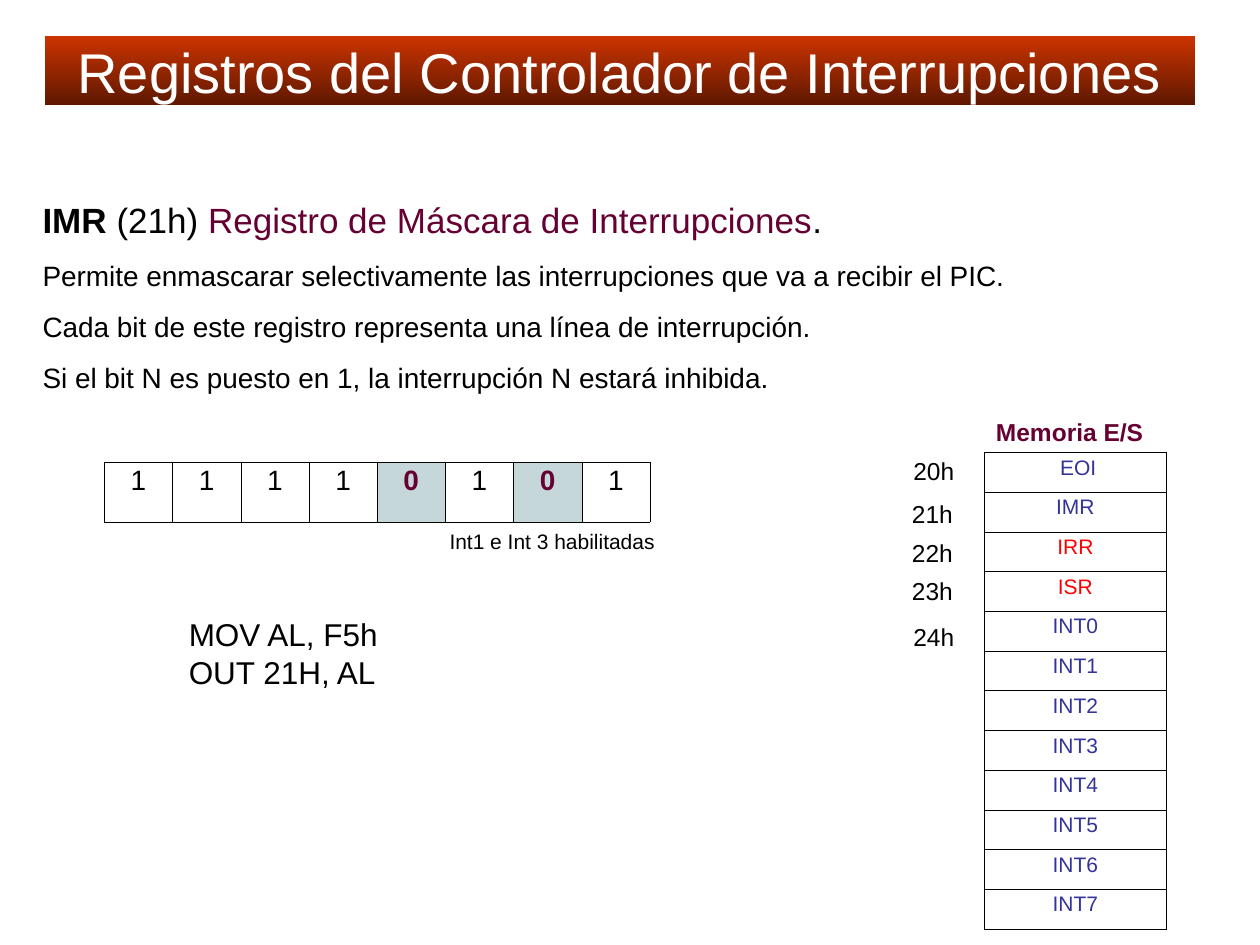
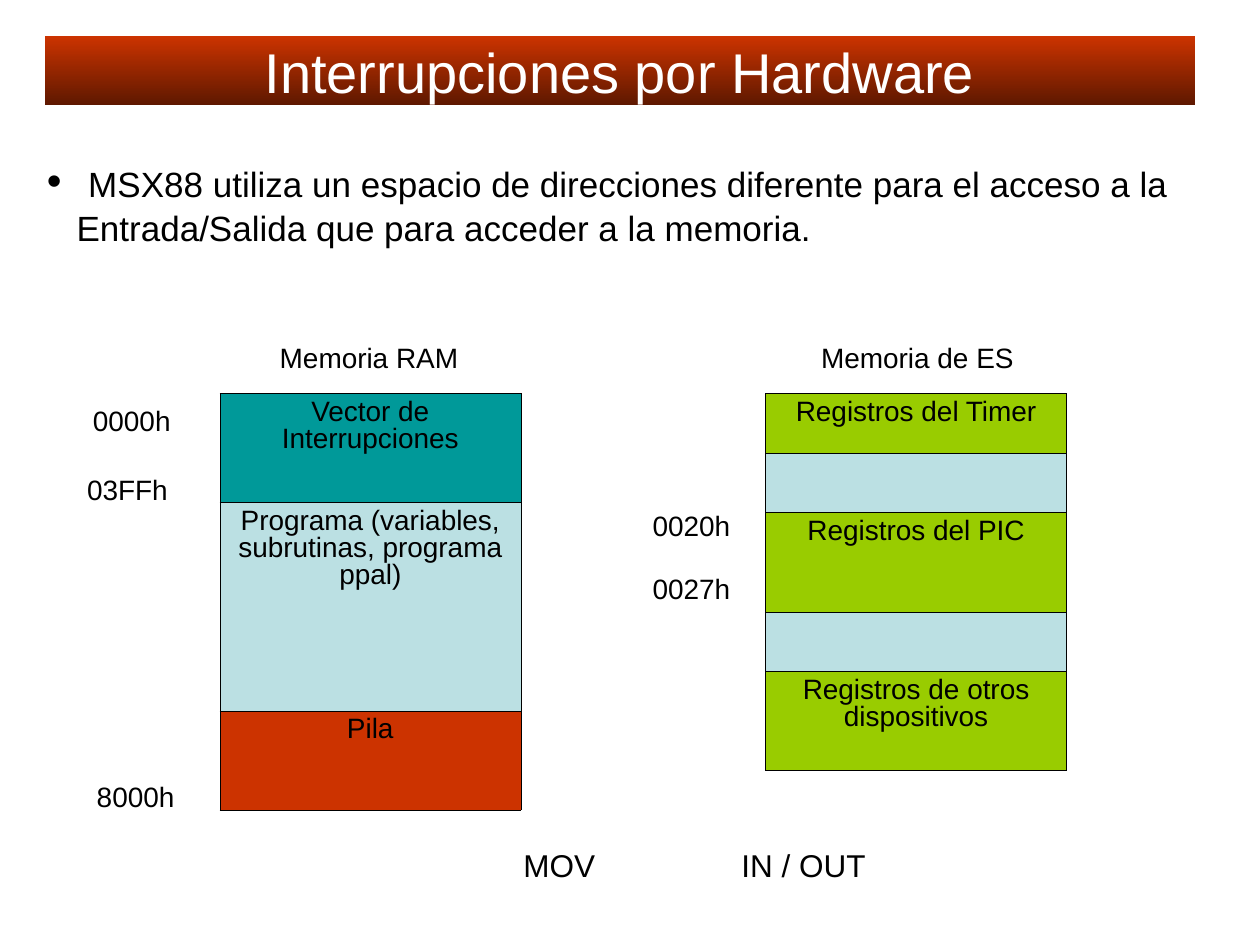
from lxml.etree import SubElement
from pptx import Presentation
from pptx.dml.color import RGBColor
from pptx.enum.shapes import MSO_SHAPE
from pptx.enum.text import MSO_ANCHOR, MSO_AUTO_SIZE, PP_ALIGN
from pptx.oxml import parse_xml
from pptx.oxml.ns import nsdecls, qn
from pptx.util import Pt

FONT = "Arial"
BLACK = "000000"
WHITE = "FFFFFF"
BAND_TOP = "CC3300"
BAND_BOTTOM = "5E1800"
PLUM = "660033"
BLUE = "333399"
RED = "FF0000"
ENABLED_BIT = "C5D7D9"
TEAL = "009999"
PALE_BLUE = "BBE0E3"
GREEN = "99CC00"
BORDER_WIDTH = Pt(0.25)
BLOCK_WIDTH = 172
BLOCK_TOP = 224.8


def color(hex_string):
    return RGBColor.from_string(hex_string)


def format_run(run, size, font_color=BLACK, bold=False):
    run.font.name = FONT
    run.font.size = Pt(size)
    run.font.bold = bold
    run.font.color.rgb = color(font_color)


def add_runs(paragraph, *runs):
    """Add runs, each given as text, size and optional colour and bold."""
    for text, *style in runs:
        run = paragraph.add_run()
        run.text = text
        format_run(run, *style)


def add_title(slide, text):
    band = slide.shapes.add_shape(
        MSO_SHAPE.RECTANGLE, Pt(25.5), Pt(20.6), Pt(657.4), Pt(39.5))
    band.shadow.inherit = False
    band.line.fill.background()
    band.fill.gradient()
    band.fill.gradient_angle = 270
    for stop, position, stop_color in zip(
            band.fill.gradient_stops, (0, 1), (BAND_TOP, BAND_BOTTOM)):
        stop.position = position
        stop.color.rgb = color(stop_color)
    text_frame = band.text_frame
    text_frame.text = text
    text_frame.vertical_anchor = MSO_ANCHOR.MIDDLE
    paragraph = text_frame.paragraphs[0]
    paragraph.alignment = PP_ALIGN.CENTER
    format_run(paragraph.runs[0], 32, WHITE)


def add_text(slide, left, top, width, height, text="", size=16,
             font_color=BLACK, bold=False, wrap=False):
    box = slide.shapes.add_textbox(Pt(left), Pt(top), Pt(width), Pt(height))
    text_frame = box.text_frame
    text_frame.word_wrap = wrap
    text_frame.auto_size = MSO_AUTO_SIZE.SHAPE_TO_FIT_TEXT
    text_frame.text = text
    for paragraph in text_frame.paragraphs:
        for run in paragraph.runs:
            format_run(run, size, font_color, bold)
    return text_frame


def add_bullet(paragraph, indent):
    properties = paragraph._p.get_or_add_pPr()
    properties.set("marL", str(Pt(indent)))
    properties.set("indent", str(-Pt(indent)))
    SubElement(properties, qn("a:buFont")).set("typeface", FONT)
    SubElement(properties, qn("a:buChar")).set("char", "•")


def add_cell_borders(cell):
    properties = cell._tc.get_or_add_tcPr()
    for index, side in enumerate(("lnL", "lnR", "lnT", "lnB")):
        properties.insert(index, parse_xml(
            f'<a:{side} {nsdecls("a")} w="{BORDER_WIDTH}"><a:solidFill>'
            f'<a:srgbClr val="{BLACK}"/></a:solidFill></a:{side}>'))


def format_cell(cell, text, size, font_color=BLACK, fill=None, bold=False):
    if fill:
        cell.fill.solid()
        cell.fill.fore_color.rgb = color(fill)
    else:
        cell.fill.background()
    add_cell_borders(cell)
    cell.text_frame.text = text
    paragraph = cell.text_frame.paragraphs[0]
    paragraph.alignment = PP_ALIGN.CENTER
    paragraph.line_spacing = 0.87
    for run in paragraph.runs:
        format_run(run, size, font_color, bold)


def add_grid(slide, left, top, widths, heights):
    table = slide.shapes.add_table(
        len(heights), len(widths), Pt(left), Pt(top),
        Pt(sum(widths)), Pt(sum(heights))).table
    table.first_row = False
    table.horz_banding = False
    for column, width in zip(table.columns, widths):
        column.width = Pt(width)
    for row, height in zip(table.rows, heights):
        row.height = Pt(height)
    return table


def add_mask_bits(slide, bits):
    table = add_grid(slide, 59.6, 264.2, [39] * len(bits), [34])
    for column, bit in enumerate(bits):
        style = (PLUM, ENABLED_BIT, True) if bit == "0" else ()
        format_cell(table.cell(0, column), bit, 16, *style)


def add_io_registers(slide):
    registers = [" EOI", "IMR", "IRR", "ISR"] + [f"INT{n}" for n in range(8)]
    table = add_grid(slide, 562.5, 258.6, [104], [22.7] * len(registers))
    for row, register in enumerate(registers):
        font_color = RED if register in ("IRR", "ISR") else BLUE
        format_cell(table.cell(row, 0), register, 12, font_color)


def add_memory_map(slide, left, blocks):
    """Stack memory blocks, each given as text, height and fill."""
    table = add_grid(slide, left, BLOCK_TOP, [BLOCK_WIDTH],
                     [height for _, height, _ in blocks])
    for row, (text, _, fill) in enumerate(blocks):
        format_cell(table.cell(row, 0), text, 16, fill=fill)


def build_mask_register_slide(slide):
    add_title(slide, "Registros del Controlador de Interrupciones")
    description = add_text(slide, 17.2, 110, 683, 119, wrap=True)
    add_runs(description.paragraphs[0],
             ("IMR", 20, BLACK, True),
             (" (21h) ", 20),
             ("Registro de Máscara de Interrupciones", 20, PLUM),
             (".", 20))
    for sentence in (
            "Permite enmascarar selectivamente las interrupciones que va a recibir el PIC.",
            "Cada bit de este registro representa una línea de interrupción.",
            "Si el bit N es puesto en 1, la interrupción N estará inhibida."):
        paragraph = description.add_paragraph()
        paragraph.space_before = Pt(10)
        add_runs(paragraph, (sentence, 16))

    add_mask_bits(slide, "11110101")
    add_text(slide, 249.8, 298.4, 134, 21.6, "Int1 e Int 3 habilitadas", 12)
    add_text(slide, 100.8, 347.8, 125, 50.4, "MOV AL, F5h\nOUT 21H, AL", 18)

    add_io_registers(slide)
    add_text(slide, 562, 234.7, 101, 24.5, "Memoria E/S", 14, PLUM, True)
    for address, left, top in (
            ("20h", 514.8, 257.3), ("21h", 514, 281.5), ("22h", 514, 303.8),
            ("23h", 514, 325.4), ("24h", 514.8, 352)):
        add_text(slide, left, top, 40, 24.5, address, 14)


def build_address_space_slide(slide):
    add_title(slide, "Interrupciones por Hardware")
    statement = add_text(slide, 19.7, 85.4, 700, 60.5, wrap=True).paragraphs[0]
    add_bullet(statement, 17)
    add_runs(statement, (" ", 24),
             ("MSX88 utiliza un espacio de direcciones diferente para el acceso "
              "a la Entrada/Salida que para acceder a la memoria.", 20))

    add_memory_map(slide, 125.6, [
        ("Vector de Interrupciones", 62.4, TEAL),
        ("Programa (variables, subrutinas, programa ppal)", 119, PALE_BLUE),
        ("Pila", 56.8, BAND_TOP)])
    add_memory_map(slide, 437.5, [
        ("Registros del Timer", 34, GREEN),
        ("", 34, PALE_BLUE),
        ("Registros del PIC", 56.8, GREEN),
        ("", 34, PALE_BLUE),
        ("Registros de otros dispositivos", 56.8, GREEN)])

    for label, left, top, width in (
            ("Memoria RAM", 152.8, 190.8, 119),
            ("Memoria de ES", 462.2, 190.8, 127),
            ("0000h", 46, 226.8, 62),
            ("03FFh", 42.7, 266.5, 63),
            ("8000h", 48.2, 442, 62),
            ("0020h", 365.8, 287.3, 62),
            ("0027h", 365.8, 322.9, 62)):
        add_text(slide, left, top, width, 26.6, label)
    for instruction, left, width in (("MOV", 292, 57), ("IN / OUT", 416.6, 96.5)):
        add_text(slide, left, 479.8, width, 28.8, instruction, 18, wrap=True)


def main():
    presentation = Presentation()
    presentation.slide_width = Pt(720)
    presentation.slide_height = Pt(540)
    blank_layout = presentation.slide_layouts[6]
    for build_slide in (build_mask_register_slide, build_address_space_slide):
        build_slide(presentation.slides.add_slide(blank_layout))
    presentation.save("out.pptx")


if __name__ == "__main__":
    main()
